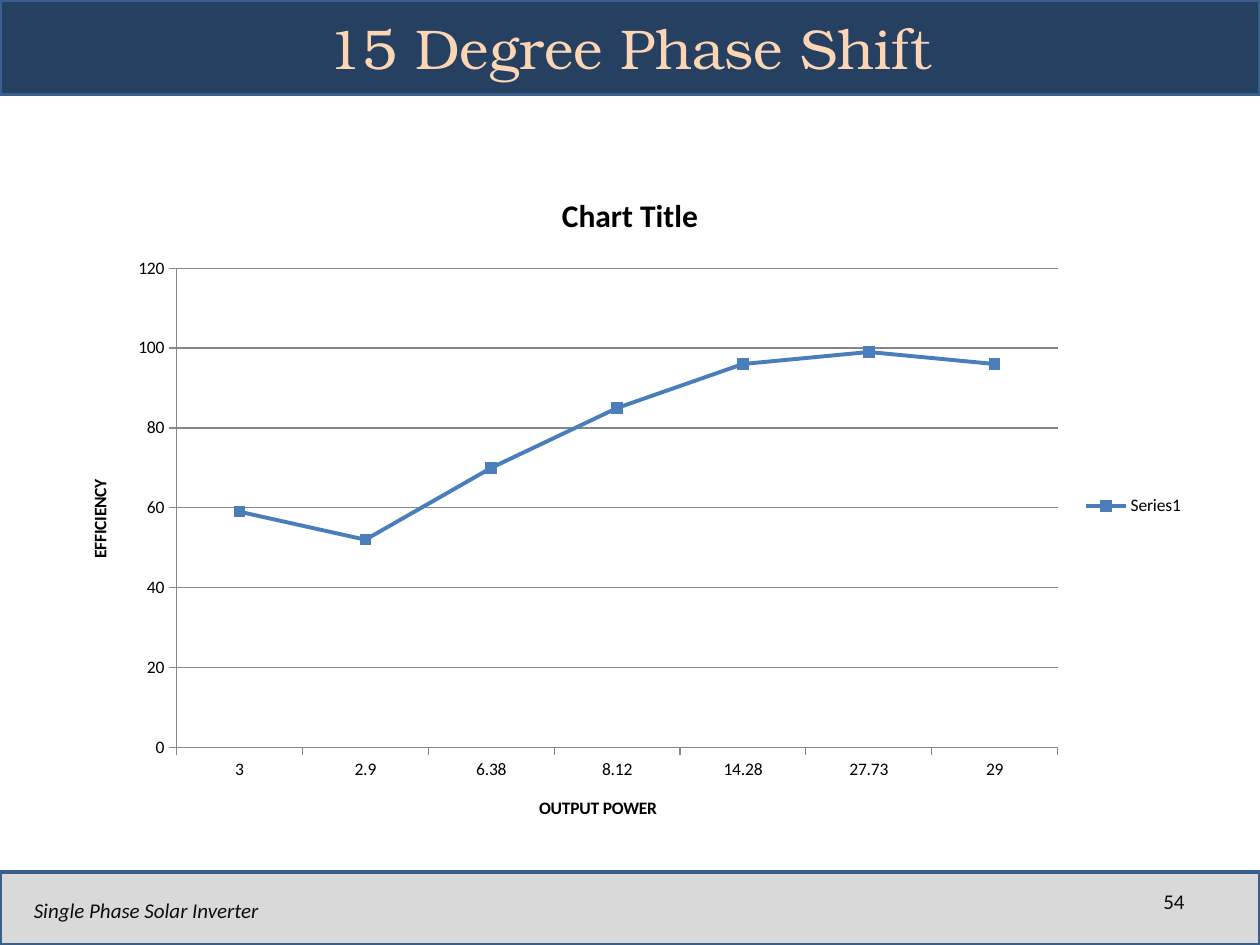
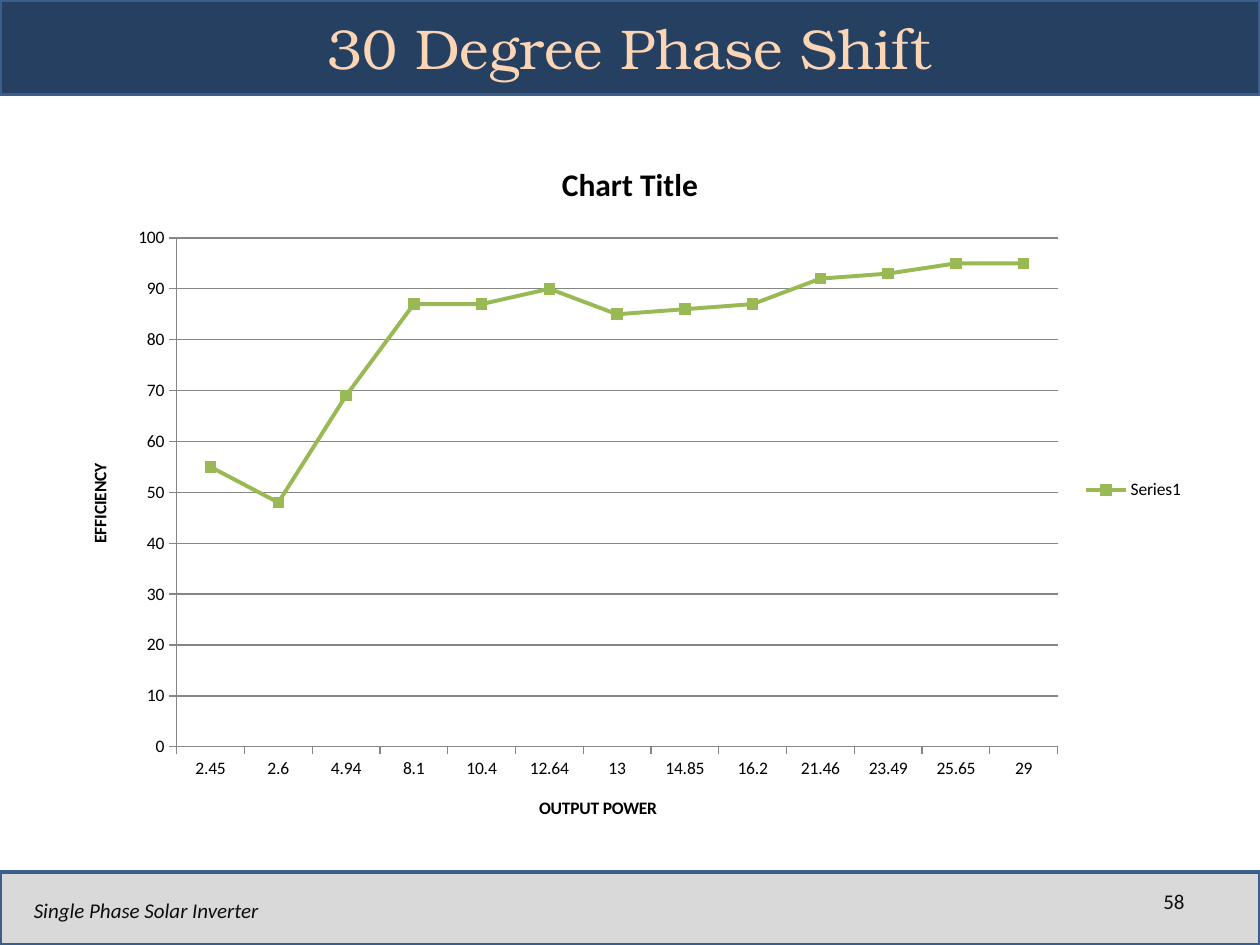
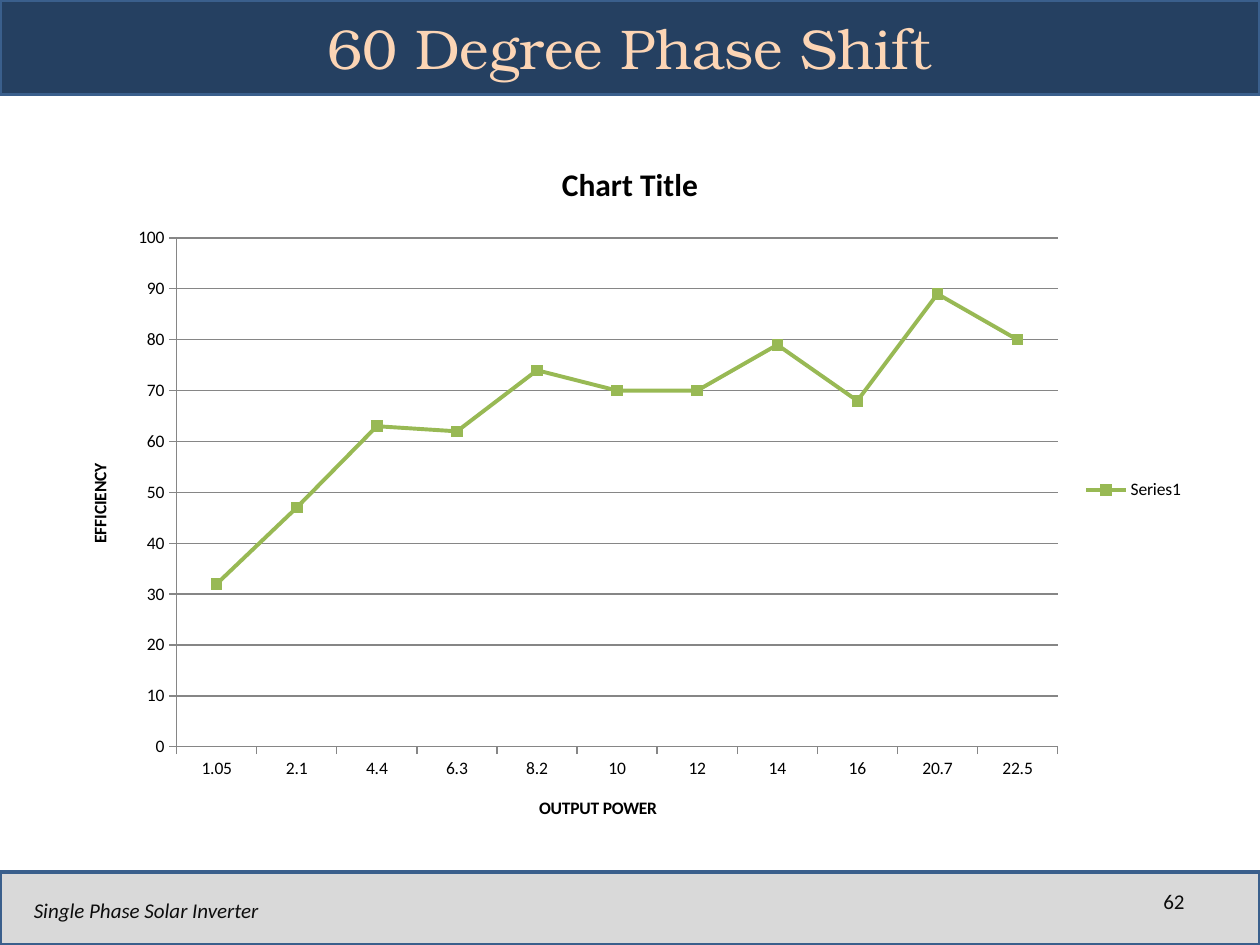
import pptx
import pptx.chart.data
import pptx.dml.color
import pptx.enum.chart
import pptx.enum.shapes
import pptx.enum.text
import pptx.util

Inches = pptx.util.Inches
Pt = pptx.util.Pt
ALIGN = pptx.enum.text.PP_ALIGN

NAVY = "254061"
PEACH = "FCD5B5"
FOOTER_GRAY = "D9D9D9"
BORDER_BLUE = "3A5F8C"
FOOTER_INK = "0D0D0D"
BLACK = "000000"
GRID_GRAY = "868686"
SERIES_BLUE = "4A7EBB"
SERIES_GREEN = "98B954"
BODY_FONT = "Calibri"
TITLE_FONT = "TeX Gyre Bonum"
CHART_BOTTOM = 6.7

SLIDES = [
    {
        "title": "15 Degree Phase Shift", "number": "54", "color": SERIES_BLUE,
        "chart_top": 1.33, "axis_max": 120, "axis_step": 20,
        "power": ["3", "2.9", "6.38", "8.12", "14.28", "27.73", "29"],
        "efficiency": [59, 52, 70, 85, 96, 99, 96],
    },
    {
        "title": "30 Degree Phase Shift", "number": "58", "color": SERIES_GREEN,
        "chart_top": 1.08, "axis_max": 100, "axis_step": 10,
        "power": ["2.45", "2.6", "4.94", "8.1", "10.4", "12.64", "13",
                  "14.85", "16.2", "21.46", "23.49", "25.65", "29"],
        "efficiency": [55, 48, 69, 87, 87, 90, 85, 86, 87, 92, 93, 95, 95],
    },
    {
        "title": "60 Degree Phase Shift", "number": "62", "color": SERIES_GREEN,
        "chart_top": 1.08, "axis_max": 100, "axis_step": 10,
        "power": ["1.05", "2.1", "4.4", "6.3", "8.2", "10", "12", "14",
                  "16", "20.7", "22.5"],
        "efficiency": [32, 47, 63, 62, 74, 70, 70, 79, 68, 89, 80],
    },
]


def rgb(value):
    """Turn a hex string into a colour."""
    return pptx.dml.color.RGBColor.from_string(value)


def style_font(font, size, color, name=BODY_FONT, bold=False, italic=False):
    """Set the look of a font."""
    font.name = name
    font.size = Pt(size)
    font.bold = bold
    font.italic = italic
    font.color.rgb = rgb(color)


def add_band(page, top, height, color):
    """Add a bordered band across the full slide width."""
    band = page.shapes.add_shape(
        pptx.enum.shapes.MSO_SHAPE.RECTANGLE,
        Inches(0), Inches(top), Inches(10), Inches(height))
    band.shadow.inherit = False
    band.fill.solid()
    band.fill.fore_color.rgb = rgb(color)
    band.line.color.rgb = rgb(BORDER_BLUE)
    band.line.width = Pt(2)


def add_label(page, text, left, top, width, height, align, size, color, **style):
    """Add a vertically centred line of text."""
    box = page.shapes.add_textbox(
        Inches(left), Inches(top), Inches(width), Inches(height))
    frame = box.text_frame
    frame.word_wrap = True
    frame.vertical_anchor = pptx.enum.text.MSO_ANCHOR.MIDDLE
    frame.text = text
    paragraph = frame.paragraphs[0]
    paragraph.alignment = align
    style_font(paragraph.runs[0].font, size, color, **style)


def add_frame(page, title, number):
    """Add the title band, footer band and their texts."""
    add_band(page, 6.92, 0.58, FOOTER_GRAY)
    add_band(page, 0, 0.75, NAVY)
    add_label(page, title, 0.5, 0, 9, 0.75, ALIGN.CENTER, 32, PEACH,
              name=TITLE_FONT)
    add_label(page, number, 8.5, 6.95, 1, 0.4, ALIGN.RIGHT, 12, FOOTER_INK)
    add_label(page, "Single Phase Solar Inverter", 0.17, 7.02, 3.17, 0.4,
              ALIGN.LEFT, 12, FOOTER_INK, italic=True)


def set_chart_text(frame, text, size):
    """Write a bold title into a chart text frame."""
    frame.text = text
    style_font(frame.paragraphs[0].runs[0].font, size, BLACK, bold=True)


def style_axis(axis, title):
    """Give an axis its title, line and outside tick marks."""
    set_chart_text(axis.axis_title.text_frame, title, 10)
    axis.major_tick_mark = pptx.enum.chart.XL_TICK_MARK.OUTSIDE
    axis.minor_tick_mark = pptx.enum.chart.XL_TICK_MARK.NONE
    axis.format.line.color.rgb = rgb(GRID_GRAY)
    axis.format.line.width = Pt(0.75)
    style_font(axis.tick_labels.font, 10, BLACK)


def style_series(series, color):
    """Draw a series as straight lines with square markers."""
    series.smooth = False
    series.format.line.color.rgb = rgb(color)
    series.format.line.width = Pt(2.25)
    marker = series.marker
    marker.style = pptx.enum.chart.XL_MARKER_STYLE.SQUARE
    marker.size = 6
    marker.format.fill.solid()
    marker.format.fill.fore_color.rgb = rgb(color)
    marker.format.line.color.rgb = rgb(color)


def add_efficiency_chart(page, content):
    """Add the line chart of efficiency against output power."""
    chart_data = pptx.chart.data.CategoryChartData()
    chart_data.categories = content["power"]
    chart_data.add_series("Series1", content["efficiency"])
    top = content["chart_top"]
    chart = page.shapes.add_chart(
        pptx.enum.chart.XL_CHART_TYPE.LINE_MARKERS_STACKED,
        Inches(0.5), Inches(top), Inches(9), Inches(CHART_BOTTOM - top),
        chart_data).chart
    style_font(chart.font, 10, BLACK)
    set_chart_text(chart.chart_title.text_frame, "Chart Title", 18)
    chart.has_legend = True
    chart.legend.position = pptx.enum.chart.XL_LEGEND_POSITION.RIGHT
    chart.legend.include_in_layout = False
    style_font(chart.legend.font, 10, BLACK)
    chart.plots[0].vary_by_categories = False
    style_series(chart.plots[0].series[0], content["color"])

    style_axis(chart.category_axis, "OUTPUT POWER")
    value_axis = chart.value_axis
    style_axis(value_axis, "EFFICIENCY")
    title_body = value_axis.axis_title.text_frame._element.find(
        pptx.oxml.ns.qn("a:bodyPr"))
    title_body.set("rot", "-5400000")
    title_body.set("vert", "horz")
    value_axis.minimum_scale = 0
    value_axis.maximum_scale = content["axis_max"]
    value_axis.major_unit = content["axis_step"]
    value_axis.has_major_gridlines = True
    grid_line = value_axis.major_gridlines.format.line
    grid_line.color.rgb = rgb(GRID_GRAY)
    grid_line.width = Pt(0.75)


def main():
    """Build the deck of phase shift charts."""
    deck = pptx.Presentation()
    deck.slide_width = Inches(10)
    deck.slide_height = Inches(7.5)
    for content in SLIDES:
        page = deck.slides.add_slide(deck.slide_layouts[6])
        add_frame(page, content["title"], content["number"])
        add_efficiency_chart(page, content)
    deck.save("out.pptx")


if __name__ == "__main__":
    main()
